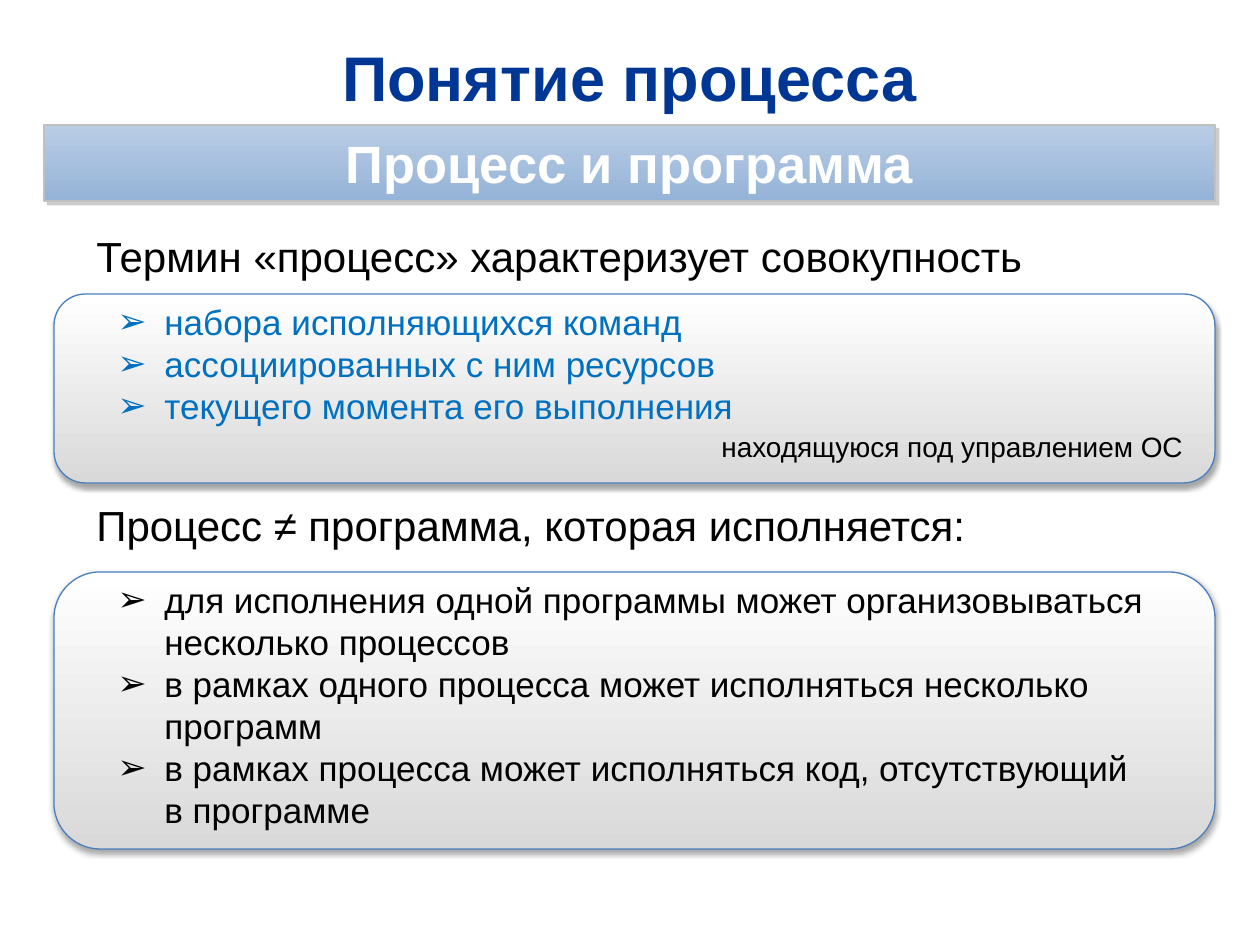
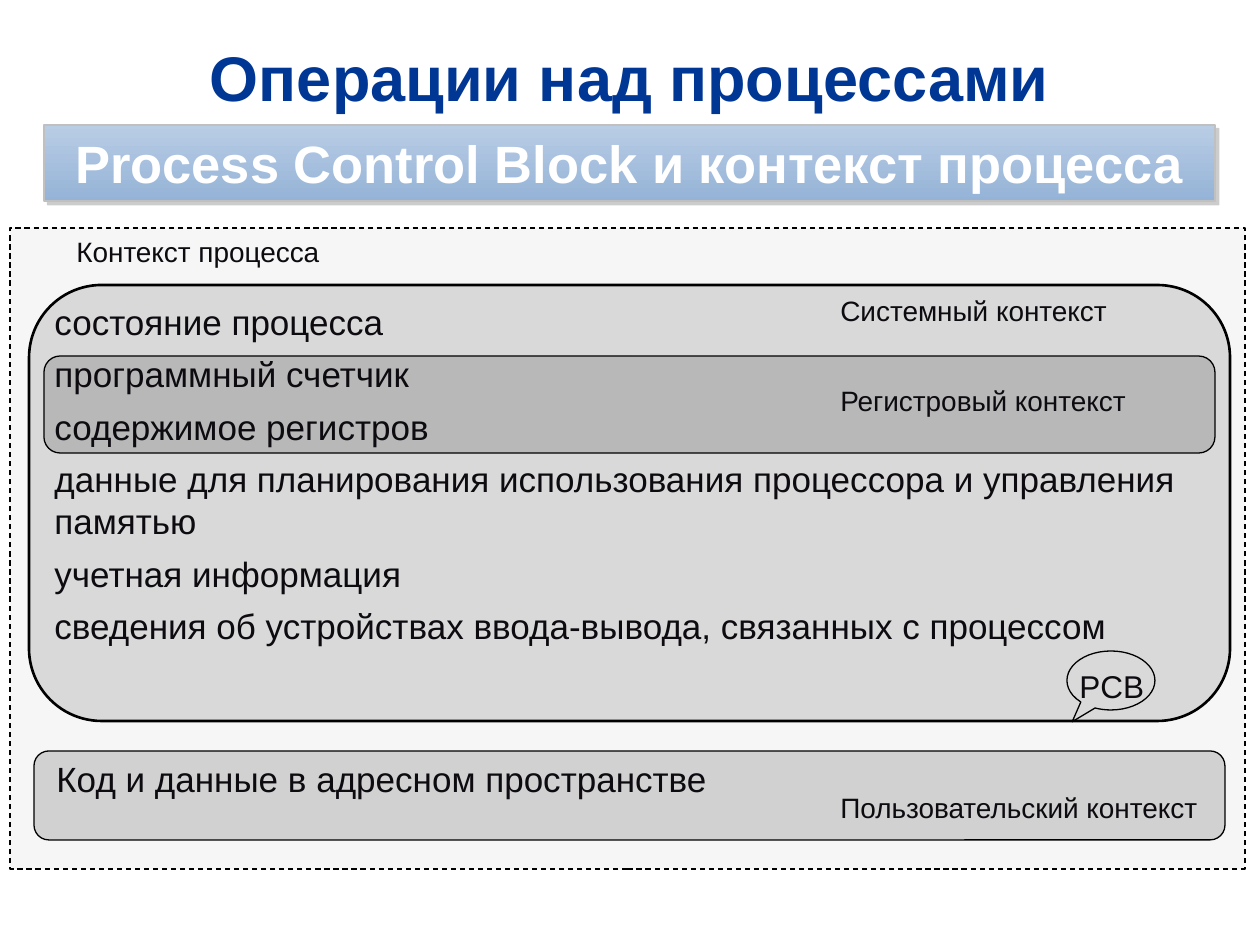
from lxml.etree import SubElement
from pptx import Presentation
from pptx.dml.color import RGBColor
from pptx.enum.dml import MSO_LINE_DASH_STYLE as Dash
from pptx.enum.shapes import MSO_SHAPE as Shape
from pptx.enum.text import MSO_ANCHOR as Anchor, PP_ALIGN as Align
from pptx.oxml.ns import qn
from pptx.util import Emu, Pt

PX = 914400 / 126
FONT = "Arial"
COLORS = {
    "title": "003794",
    "white": "FFFFFF",
    "black": "000000",
    "ink": "0D0A10",
    "accent": "0070C0",
    "band_top": "B9CDE5",
    "band_bottom": "95B3D7",
    "band_line": "C0C0C0",
    "band_shadow": "808080",
    "gray": "D9D9D9",
    "card_line": "4B7EBC",
}


def px(value):
    return Emu(round(value * PX))


def rgb(name):
    return RGBColor.from_string(COLORS[name])


def style(para, size, color, bold=False, align=Align.LEFT):
    para.alignment = align
    para.font.name = FONT
    para.font.size = Pt(size)
    para.font.bold = bold
    para.font.color.rgb = rgb(color)


def set_alpha(color_element, percent):
    SubElement(color_element, qn("a:alpha"), val=str(percent * 1000))


def add_bullet(para, indent):
    properties = para._p.get_or_add_pPr()
    properties.set("marL", str(indent))
    properties.set("indent", str(-indent))
    SubElement(properties, qn("a:buFont"), typeface=FONT)
    SubElement(properties, qn("a:buChar"), char="➢")


def add_shadow(shape, color, alpha, blur, distance, angle):
    effects = shape.element.spPr.find(qn("a:effectLst"))
    shadow = SubElement(
        effects, qn("a:outerShdw"),
        blurRad=str(Pt(blur)), dist=str(Pt(distance)),
        dir=str(angle * 60000), algn="ctr", rotWithShape="0",
    )
    set_alpha(SubElement(shadow, qn("a:srgbClr"), val=COLORS[color]), alpha)


def add_panel(page, kind, area, line="black", width=0.75, fill=None, alpha=100):
    panel = page.shapes.add_shape(kind, *map(px, area))
    panel.shadow.inherit = False
    panel.line.color.rgb = rgb(line)
    panel.line.width = Pt(width)
    if fill is None:
        panel.fill.background()
    else:
        panel.fill.solid()
        panel.fill.fore_color.rgb = rgb(fill)
        if alpha < 100:
            path = qn("a:solidFill") + "/" + qn("a:srgbClr")
            set_alpha(panel.element.spPr.find(path), alpha)
    return panel


def add_gradient_panel(page, kind, area, line, width, top, bottom):
    panel = add_panel(page, kind, area, line, width)
    panel.fill.gradient()
    panel.fill.gradient_angle = 270
    for stop, color, position in zip(panel.fill.gradient_stops, (top, bottom), (0, 1)):
        stop.color.rgb = rgb(color)
        stop.position = position
    return panel


def add_card(page, top, height):
    area = (54, top, 1161, height)
    card = add_gradient_panel(
        page, Shape.ROUNDED_RECTANGLE, area, "card_line", 0.75, "white", "gray")
    add_shadow(card, "black", 35, 3.1, 1.8, 90)


def add_text(page, area, lines, size, color="ink", bullets=False, gap=0):
    frame = page.shapes.add_textbox(*map(px, area)).text_frame
    frame.word_wrap = True
    frame.text = "\n".join(lines)
    for index, para in enumerate(frame.paragraphs):
        style(para, size, color)
        if index and gap:
            para.space_before = Pt(gap)
        if bullets:
            add_bullet(para, px(47))


def add_band(page, text):
    band = add_gradient_panel(
        page, Shape.RECTANGLE, (44, 125, 1171, 76),
        "band_line", 1, "band_top", "band_bottom")
    add_shadow(band, "band_shadow", 40, 0, 3, 45)
    frame = band.text_frame
    frame.word_wrap = True
    frame.vertical_anchor = Anchor.MIDDLE
    frame.margin_left = frame.margin_right = px(30)
    frame.margin_top = frame.margin_bottom = px(5)
    frame.text = text
    style(frame.paragraphs[0], 30, "white", True, Align.CENTER)


def add_page(deck, heading, subject):
    page = deck.slides.add_slide(deck.slide_layouts[5])
    title = page.shapes.title
    title.left, title.top, title.width, title.height = map(px, (44, 33, 1171, 86))
    title.text_frame.text = heading
    title.text_frame.vertical_anchor = Anchor.MIDDLE
    style(title.text_frame.paragraphs[0], 36, "title", True, Align.CENTER)
    add_band(page, subject)
    return page


def build_process_page(deck):
    page = add_page(deck, "Понятие процесса", "Процесс и программа")
    add_card(page, 572, 277)
    add_card(page, 294, 189)
    statements = (
        (224, "Термин «процесс» характеризует совокупность"),
        (493, "Процесс ≠ программа, которая исполняется:"),
    )
    for top, statement in statements:
        add_text(page, (84, top, 1081, 63), [statement], 24, "black")
    add_text(page, (105, 294, 1052, 140), [
        "набора исполняющихся команд",
        "ассоциированных с ним ресурсов",
        "текущего момента его выполнения",
    ], 20, "accent", bullets=True)
    add_text(page, (709, 423, 500, 47), ["находящуюся под управлением ОС"], 16, "black")
    add_text(page, (105, 572, 1052, 267), [
        "для исполнения одной программы может организовываться несколько процессов",
        "в рамках одного процесса может исполняться несколько программ",
        "в рамках процесса может исполняться код, отсутствующий в программе",
    ], 20, "black", bullets=True)


def build_context_page(deck):
    page = add_page(
        deck, "Операции над процессами", "Process Control Block и контекст процесса")
    context = add_panel(
        page, Shape.RECTANGLE, (10, 228, 1235, 641), fill="gray", alpha=22)
    context.line.dash_style = Dash.DASH
    rounded = Shape.ROUNDED_RECTANGLE
    add_panel(page, rounded, (29, 285, 1201, 436), width=1.5, fill="gray")
    for area in ((44, 356, 1171, 97), (34, 751, 1191, 89)):
        add_panel(page, rounded, area, fill="black", alpha=15)
    add_text(page, (42, 294, 1177, 382), [
        "состояние процесса",
        "программный счетчик",
        "содержимое регистров",
        "данные для планирования использования процессора и управления памятью",
        "учетная информация",
        "сведения об устройствах ввода-вывода, связанных с процессом",
    ], 20, gap=6)
    labels = (
        (828, 377, 338, "Регистровый контекст", 16),
        (828, 287, 307, "Системный контекст", 16),
        (1067, 661, 110, "PCB", 18),
        (44, 751, 1111, "Код и данные в адресном пространстве", 20),
        (828, 784, 417, "Пользовательский контекст", 16),
        (64, 228, 287, "Контекст процесса", 16),
    )
    for left, top, width, text, size in labels:
        add_text(page, (left, top, width, 47), [text], size)
    callout = add_panel(page, Shape.OVAL_CALLOUT, (1067, 651, 88, 59))
    callout.adjustments[0] = -0.44
    callout.adjustments[1] = 0.7


def main():
    deck = Presentation()
    deck.slide_width, deck.slide_height = px(1260), px(945)
    build_process_page(deck)
    build_context_page(deck)
    deck.save("out.pptx")


if __name__ == "__main__":
    main()
